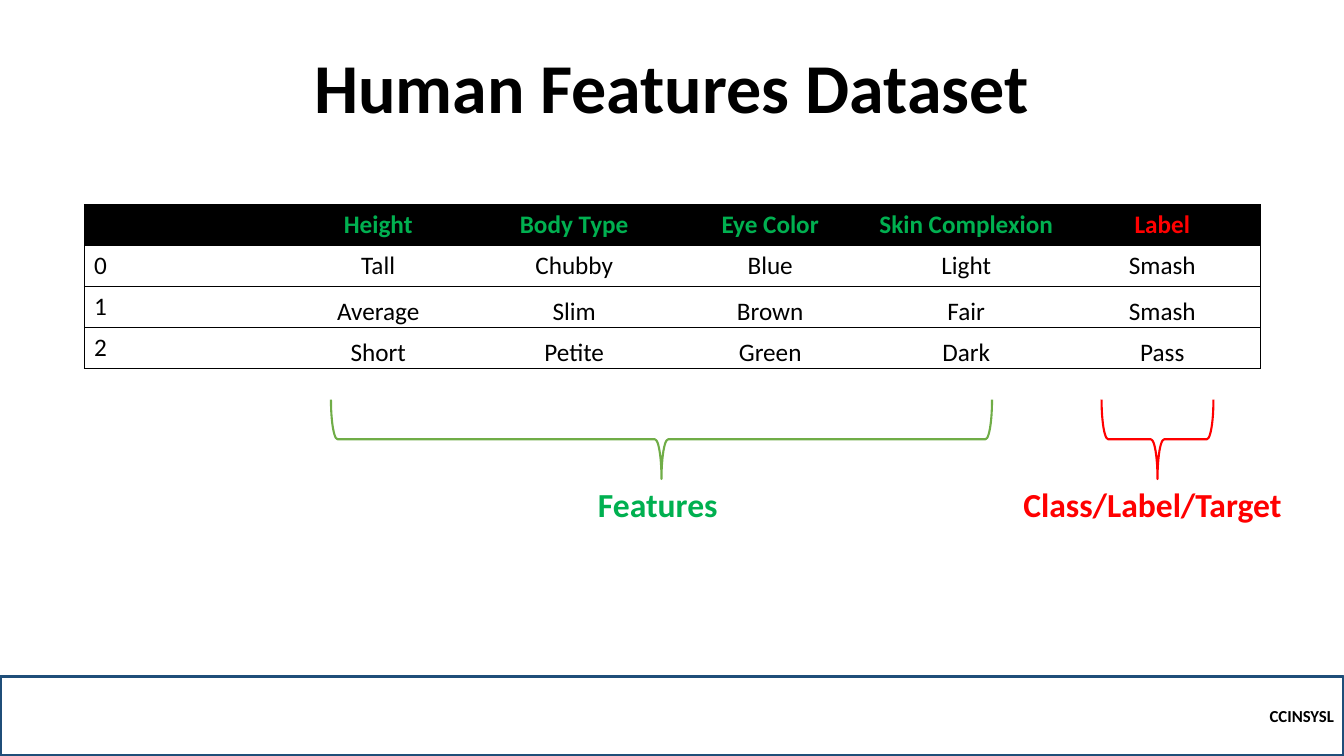
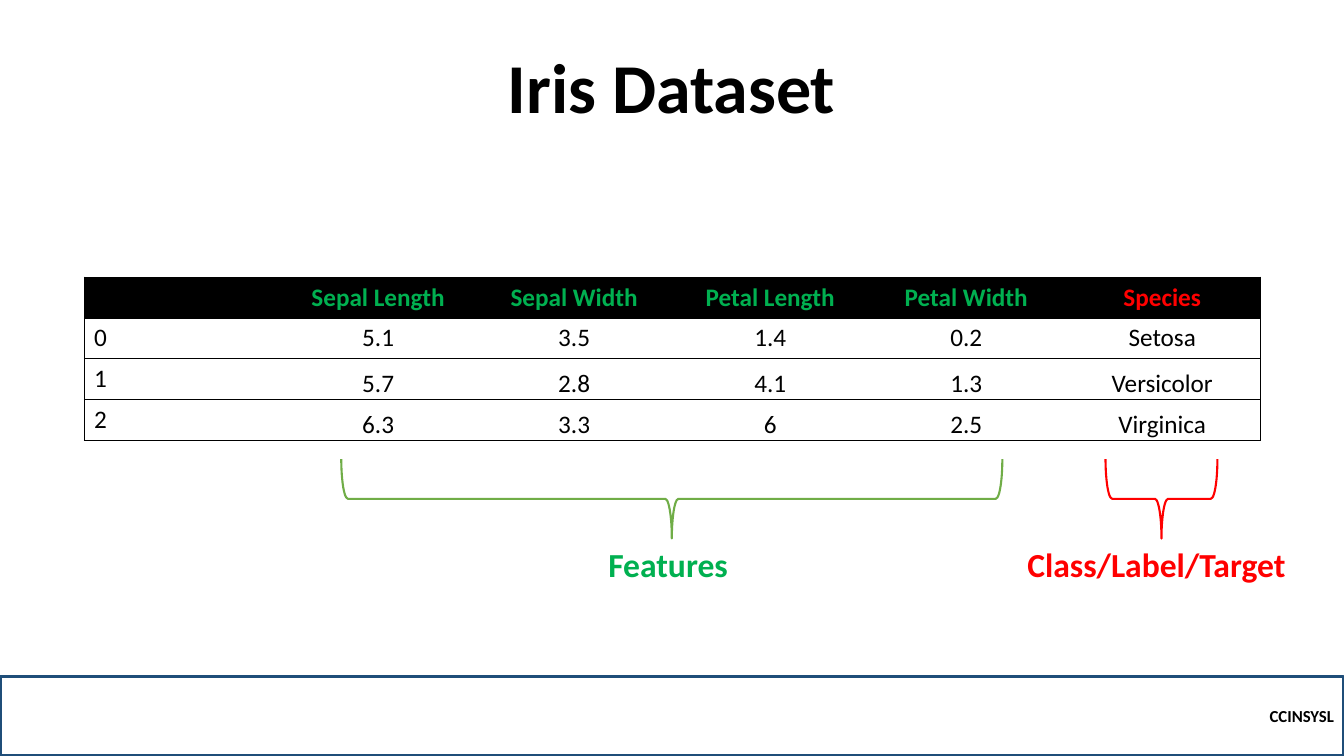
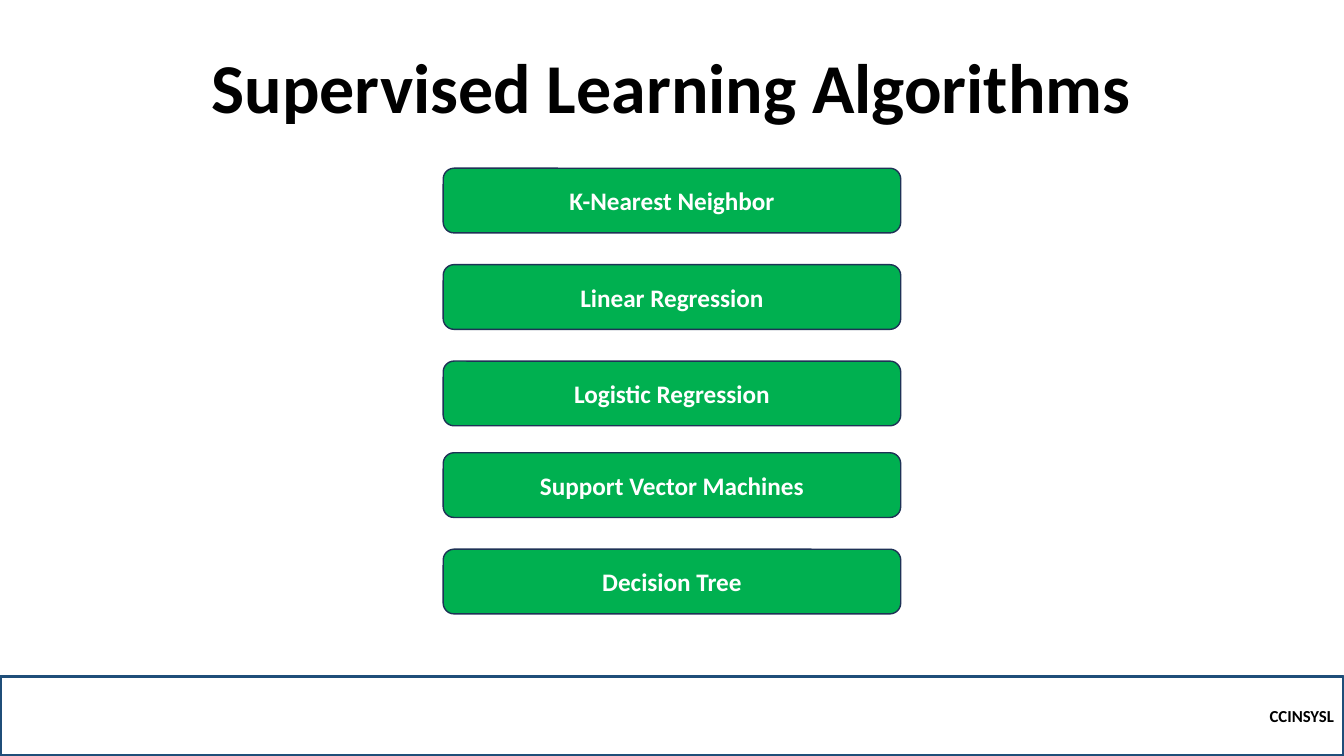
"""Build three slides on labelled datasets and supervised learning algorithms."""
import lxml.etree
import pptx
import pptx.dml.color
import pptx.enum.shapes
import pptx.enum.text
import pptx.oxml.ns
import pptx.util

Cm = pptx.util.Cm
Pt = pptx.util.Pt
RGB = pptx.dml.color.RGBColor.from_string
Align = pptx.enum.text.PP_ALIGN
Anchor = pptx.enum.text.MSO_ANCHOR
Shape = pptx.enum.shapes.MSO_SHAPE


class Theme:
    font = "Calibri"
    black = RGB("000000")
    white = RGB("FFFFFF")
    feature = RGB("00B050")
    feature_brace = RGB("70AD47")
    target = RGB("FF0000")
    band_line = RGB("1F4E79")
    button_line = RGB("1E3256")
    title_size = 50
    label_size = 24
    body_size = 18
    footer_size = 12


PAGE_WIDTH, PAGE_HEIGHT = 33.87, 19.05
TABLE_LEFT, COLUMN_WIDTH, ROW_HEIGHT = 2.12, 4.94, 1.03
BRACE_DEPTH, LABEL_HEIGHT = 2.0, 1.27
BUTTON_WIDTH, BUTTON_HEIGHT, BUTTON_PITCH = 11.53, 1.63, 2.43
FOOTER_HEIGHT = 2.0
FOOTER = "CCINSYSL"

FEATURES = ("Features", 16.66, 3.7, Theme.feature_brace, Theme.feature)
TARGET = ("Class/Label/Target", 2.82, 7.26, Theme.target, Theme.target)

DATASETS = [
    {
        "title": "Human Features Dataset",
        "table_top": 5.15,
        "brace_top": 10.07,
        "braces": [(16.67, FEATURES), (29.17, TARGET)],
        "rows": [
            ("", "Height", "Body Type", "Eye Color", "Skin Complexion", "Label"),
            ("0", "Tall", "Chubby", "Blue", "Light", "Smash"),
            ("1", "Average", "Slim", "Brown", "Fair", "Smash"),
            ("2", "Short", "Petite", "Green", "Dark", "Pass"),
        ],
    },
    {
        "title": "Iris Dataset",
        "table_top": 6.98,
        "brace_top": 11.57,
        "braces": [(16.93, FEATURES), (29.27, TARGET)],
        "rows": [
            ("", "Sepal Length", "Sepal Width", "Petal Length", "Petal Width", "Species"),
            ("0", "5.1", "3.5", "1.4", "0.2", "Setosa"),
            ("1", "5.7", "2.8", "4.1", "1.3", "Versicolor"),
            ("2", "6.3", "3.3", "6", "2.5", "Virginica"),
        ],
    },
]

ALGORITHMS_TITLE = "Supervised Learning Algorithms"
ALGORITHM_STACKS = [
    (4.24, ["K-Nearest Neighbor", "Linear Regression", "Logistic Regression"]),
    (11.41, ["Support Vector Machines", "Decision Tree"]),
]


def write(frame, text, size, color, align=Align.CENTER, bold=True):
    frame.text = text
    para = frame.paragraphs[0]
    para.alignment = align
    para.font.size = Pt(size)
    for span in para.runs:
        span.font.name = Theme.font
        span.font.size = Pt(size)
        span.font.bold = bold
        span.font.color.rgb = color


def add_outlined(page, kind, box, line, weight, fill=None):
    shape = page.shapes.add_shape(kind, *map(Cm, box))
    shape.shadow.inherit = False
    shape.line.color.rgb = line
    shape.line.width = Pt(weight)
    if fill is None:
        shape.fill.background()
    else:
        shape.fill.solid()
        shape.fill.fore_color.rgb = fill
    shape.text_frame.vertical_anchor = Anchor.MIDDLE
    return shape


def add_page(deck, title_text):
    page = deck.slides.add_slide(deck.slide_layouts[5])
    title = page.shapes.title
    title.left, title.top, title.width, title.height = map(Cm, (4.23, 1.37, 25.4, 2))
    frame = title.text_frame
    write(frame, title_text, Theme.title_size, Theme.black)
    frame.auto_size = pptx.enum.text.MSO_AUTO_SIZE.NONE
    frame.vertical_anchor = Anchor.BOTTOM
    frame.paragraphs[0].line_spacing = 0.9
    band_box = (0, PAGE_HEIGHT - FOOTER_HEIGHT, PAGE_WIDTH, FOOTER_HEIGHT)
    band = add_outlined(page, Shape.RECTANGLE, band_box, Theme.band_line, 2.25)
    write(band.text_frame, FOOTER, Theme.footer_size, Theme.black, Align.RIGHT)
    return page


def set_borders(cell, drawn_sides):
    properties = cell._tc.get_or_add_tcPr()
    qn = pptx.oxml.ns.qn
    for side in "LRTB":
        line = lxml.etree.SubElement(properties, qn(f"a:ln{side}"), w=str(Pt(0.5)))
        if side in drawn_sides:
            fill = lxml.etree.SubElement(line, qn("a:solidFill"))
            lxml.etree.SubElement(fill, qn("a:srgbClr"), val=str(Theme.black))
        else:
            lxml.etree.SubElement(line, qn("a:noFill"))


def format_cell(cell, text, row, column, last_column):
    header, index = row == 0, column == 0
    set_borders(cell, "TB" + "L" * index + "R" * (column == last_column))
    if header:
        cell.fill.solid()
        cell.fill.fore_color.rgb = Theme.black
        color = Theme.target if column == last_column else Theme.feature
    else:
        cell.fill.background()
        color = Theme.black
    if row > 1 and not index:
        cell.vertical_anchor = Anchor.BOTTOM
        cell.margin_left = cell.margin_right = cell.margin_top = Cm(0.03)
        cell.margin_bottom = 0
    align = Align.LEFT if index else Align.CENTER
    write(cell.text_frame, text, Theme.body_size, color, align, header)


def add_dataset_table(page, rows, top):
    count = len(rows[0])
    box = (TABLE_LEFT, top, COLUMN_WIDTH * count, ROW_HEIGHT * len(rows))
    table = page.shapes.add_table(len(rows), count, *map(Cm, box)).table
    table.first_row = table.horz_banding = False
    for row, texts in enumerate(rows):
        for column, text in enumerate(texts):
            format_cell(table.cell(row, column), text, row, column, count - 1)


def add_brace(page, center, top, text, span, label_width, line, color):
    middle = top + BRACE_DEPTH / 2
    box = (center - BRACE_DEPTH / 2, middle - span / 2, BRACE_DEPTH, span)
    add_outlined(page, Shape.RIGHT_BRACE, box, line, 1.5).rotation = 90
    label_box = (center - label_width / 2, top + BRACE_DEPTH, label_width, LABEL_HEIGHT)
    label = page.shapes.add_textbox(*map(Cm, label_box))
    label.text_frame.word_wrap = True
    write(label.text_frame, text, Theme.label_size, color, Align.LEFT)


def add_dataset_page(deck, dataset):
    page = add_page(deck, dataset["title"])
    add_dataset_table(page, dataset["rows"], dataset["table_top"])
    for center, brace in dataset["braces"]:
        add_brace(page, center, dataset["brace_top"], *brace)


def add_algorithms_page(deck):
    page = add_page(deck, ALGORITHMS_TITLE)
    left = (PAGE_WIDTH - BUTTON_WIDTH) / 2
    for stack_top, names in ALGORITHM_STACKS:
        for position, name in enumerate(names):
            box = (left, stack_top + position * BUTTON_PITCH, BUTTON_WIDTH, BUTTON_HEIGHT)
            button = add_outlined(page, Shape.ROUNDED_RECTANGLE, box,
                                  Theme.button_line, 1, Theme.feature)
            write(button.text_frame, name, Theme.body_size, Theme.white)


def main():
    deck = pptx.Presentation()
    deck.slide_width, deck.slide_height = Cm(PAGE_WIDTH), Cm(PAGE_HEIGHT)
    for dataset in DATASETS:
        add_dataset_page(deck, dataset)
    add_algorithms_page(deck)
    deck.save("out.pptx")


if __name__ == "__main__":
    main()
